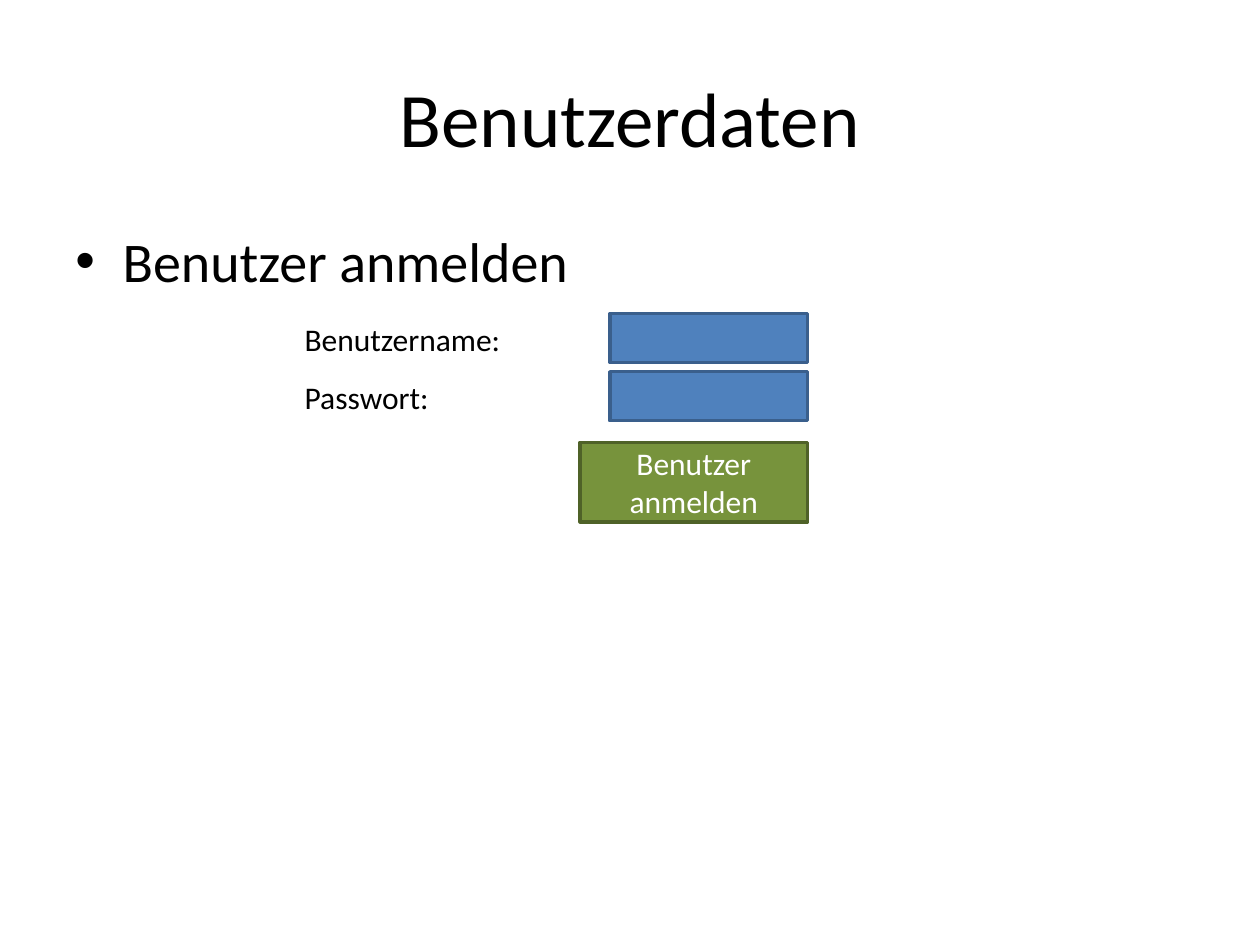
from lxml import etree
from pptx import Presentation
from pptx import util as u
from pptx.dml.color import RGBColor
from pptx.enum import shapes, text
from pptx.oxml.ns import qn

COLORS = {
    "text": "000000",
    "light": "FFFFFF",
    "field": "4F81BD",
    "field_line": "3A5F8C",
    "button": "77933C",
    "button_line": "4F6228",
}
FONT = "Calibri"


def color(name):
    return RGBColor.from_string(COLORS[name])


def write(shape, words, size=18, fill="text", align=text.PP_ALIGN.LEFT,
          anchor=text.MSO_ANCHOR.TOP, wrap=True):
    frame = shape.text_frame
    frame.word_wrap = wrap
    frame.vertical_anchor = anchor
    paragraph = frame.paragraphs[0]
    paragraph.alignment = align
    run = paragraph.add_run()
    run.text = words
    run.font.name = FONT
    run.font.size = u.Pt(size)
    run.font.color.rgb = color(fill)
    return paragraph


def box(slide, left, top, width, height, name):
    shape = slide.shapes.add_shape(
        shapes.MSO_SHAPE.RECTANGLE, *map(u.Pt, (left, top, width, height)))
    shape.shadow.inherit = False
    shape.fill.solid()
    shape.fill.fore_color.rgb = color(name)
    shape.line.color.rgb = color(name + "_line")
    shape.line.width = u.Pt(2)
    return shape


def text_box(slide, left, top, width, height):
    return slide.shapes.add_textbox(*map(u.Pt, (left, top, width, height)))


def add_title(slide, words):
    title = slide.shapes.title
    title.left, title.top = u.Pt(36), u.Pt(21.6)
    title.width, title.height = u.Pt(648), u.Pt(90)
    write(title, words, size=44, align=text.PP_ALIGN.CENTER,
          anchor=text.MSO_ANCHOR.MIDDLE)


def add_bullet(slide, words):
    paragraph = write(text_box(slide, 36, 126, 648, 356.4), words, size=32)
    paragraph.space_before = u.Pt(6.4)
    properties = paragraph._p.get_or_add_pPr()
    properties.set("marL", str(u.Pt(27)))
    properties.set("indent", str(u.Pt(-27)))
    etree.SubElement(properties, qn("a:buFont"), typeface="Arial")
    etree.SubElement(properties, qn("a:buChar"), char="•")


def add_field(slide, label, top, label_width):
    box(slide, 348.5, top, 113, 28, "field")
    label_box = text_box(slide, 167, top, label_width, 29)
    write(label_box, label, wrap=False)
    label_box.text_frame.auto_size = text.MSO_AUTO_SIZE.SHAPE_TO_FIT_TEXT


def main():
    presentation = Presentation()
    presentation.slide_width, presentation.slide_height = u.Pt(720), u.Pt(540)
    slide = presentation.slides.add_slide(presentation.slide_layouts[5])

    # Heading and topic
    add_title(slide, "Benutzerdaten")
    add_bullet(slide, "Benutzer anmelden")

    # Login form
    fields = [("Benutzername:", 127.4), ("Passwort:", 85.7)]
    for row, (label, width) in enumerate(fields):
        add_field(slide, label, 179.2 + row * 33.2, width)

    # Login button
    button = box(slide, 331.5, 252.8, 130, 45.4, "button")
    write(button, "Benutzer anmelden", fill="light",
          align=text.PP_ALIGN.CENTER, anchor=text.MSO_ANCHOR.MIDDLE)

    presentation.save("out.pptx")


main()
